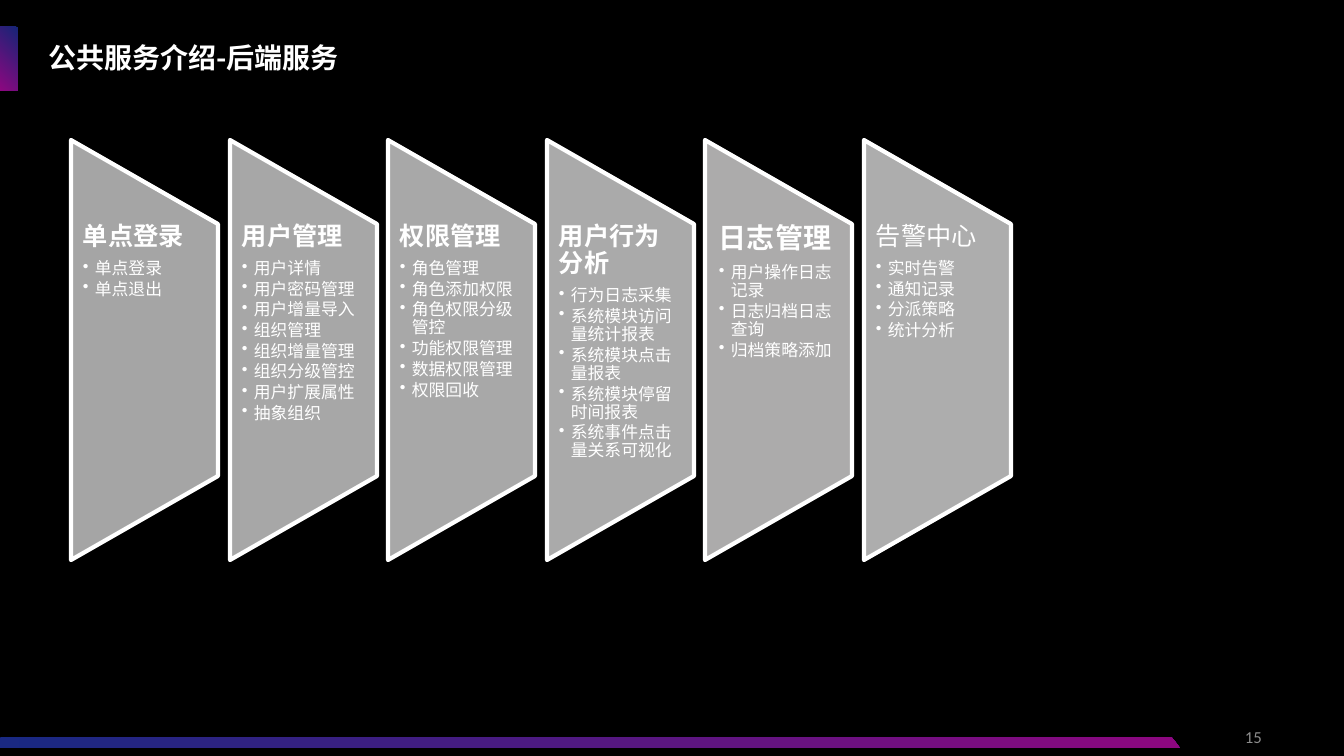
from lxml import etree
from pptx import Presentation
from pptx import util as u
from pptx.dml.color import RGBColor
from pptx.enum import shapes, text
from pptx.oxml.ns import qn

TITLE = "公共服务介绍-后端服务"
PAGE = "15"
# heading, heading size, bold, side inset, fill, items
CARDS = [
    ("单点登录", 18, True, 12, "A5A5A5", ["单点登录", "单点退出"]),
    ("用户管理", 18, True, 12, "A7A7A7",
     ["用户详情", "用户密码管理", "用户增量导入", "组织管理", "组织增量管理",
      "组织分级管控", "用户扩展属性", "抽象组织"]),
    ("权限管理", 18, True, 12, "A8A8A8",
     ["角色管理", "角色添加权限", "角色权限分级管控", "功能权限管理",
      "数据权限管理", "权限回收"]),
    ("用户行为分析", 18, True, 12, "AAAAAA",
     ["行为日志采集", "系统模块访问量统计报表", "系统模块点击量报表",
      "系统模块停留时间报表", "系统事件点击量关系可视化"]),
    ("日志管理", 20, True, 14, "ACABAB",
     ["用户操作日志记录", "日志归档日志查询", "归档策略添加"]),
    ("告警中心", 18, False, 12, "ADADAD",
     ["实时告警", "通知记录", "分派策略", "统计分析"]),
]
HEX = {"back": "000000", "ink": "FFFFFF", "page": "8C8C8C", "blue": "182983",
       "dim": "162576", "plum": "8D0780", "tip": "1A2983"}
LATIN, HAN = "Calibri", "Noto Sans CJK SC"
LEFT, MID, SPAN = 71, 350, 793     # first card, centre line, first to last card
WIDE, TALL = 147, 420              # card as it stands
TEXT_TOP, TEXT_TALL = 224, 252
HANG = 12

KIND = shapes.MSO_SHAPE
ALIGN = text.PP_ALIGN
ANCHOR = text.MSO_ANCHOR


def px(n):
    return u.Emu(round(n * 914400 / 100.8))


def rgb(code):
    return RGBColor.from_string(code)


def add_shape(slide, kind, box, fill=None, grad=None, angle=0):
    """Add a borderless shape; grad is a pair of colours."""
    shape = slide.shapes.add_shape(kind, *map(px, box))
    shape.shadow.inherit = False
    shape.line.fill.background()
    if grad:
        shape.fill.gradient()
        shape.fill.gradient_angle = angle
        for stop, code in zip(shape.fill.gradient_stops, grad):
            stop.color.rgb = rgb(code)
    else:
        shape.fill.solid()
        shape.fill.fore_color.rgb = rgb(fill)
    return shape


def add_frame(slide, box, side=10, edge=5, anchor=ANCHOR.MIDDLE):
    frame = slide.shapes.add_textbox(*map(px, box)).text_frame
    frame.word_wrap = True
    frame.vertical_anchor = anchor
    frame.margin_left = frame.margin_right = px(side)
    frame.margin_top = frame.margin_bottom = px(edge)
    return frame


def write(para, words, size, color=HEX["ink"], bold=False, font=LATIN):
    para.text = words
    para.font.size = u.Pt(size)
    para.font.bold = bold
    para.font.name = font
    para.font.color.rgb = rgb(color)
    base = para._p.pPr.find(qn("a:defRPr"))
    etree.SubElement(base, qn("a:ea")).set("typeface", HAN)


def add_bullet(para):
    props = para._p.get_or_add_pPr()
    props.set("marL", str(px(HANG)))
    props.set("indent", str(-px(HANG)))
    etree.SubElement(props, qn("a:buChar")).set("char", "•")


def add_card(slide, left, card):
    head, size, bold, side, fill, items = card
    box = (left + (WIDE - TALL) / 2, MID - WIDE / 2, TALL, WIDE)
    panel = add_shape(slide, KIND.FLOWCHART_MANUAL_OPERATION, box, fill)
    panel.rotation = 270
    panel.line.color.rgb = rgb(HEX["ink"])
    panel.line.width = u.Pt(3)

    frame = add_frame(slide, (left, TEXT_TOP, WIDE, TEXT_TALL), side, 0, ANCHOR.TOP)
    para = frame.paragraphs[0]
    para.line_spacing = 0.9
    para.space_after = u.Pt(size * 0.35)
    write(para, head, size, bold=bold)
    for item in items:
        para = frame.add_paragraph()
        para.level = 1
        add_bullet(para)
        para.line_spacing = 0.9
        para.space_after = u.Pt(1.8)
        write(para, item, 12)


def main():
    deck = Presentation()
    deck.slide_width, deck.slide_height = px(1344), px(756)
    slide = deck.slides.add_slide(deck.slide_layouts[6])
    slide.background.fill.solid()
    slide.background.fill.fore_color.rgb = rgb(HEX["back"])

    add_shape(slide, KIND.RECTANGLE, (0, 27, 18, 64),
              grad=(HEX["dim"], HEX["plum"]), angle=225)
    bar = add_shape(slide, KIND.PARALLELOGRAM, (0, 737, 1180, 11),
                    grad=(HEX["blue"], HEX["plum"]), angle=180)
    bar.adjustments[0] = 0.775
    bar._element.spPr.xfrm.set("flipH", "1")
    add_shape(slide, KIND.RECTANGLE, (0, 738, 19, 10), HEX["tip"])

    page = add_frame(slide, (970, 717, 302, 40)).paragraphs[0]
    page.alignment = ALIGN.RIGHT
    write(page, PAGE, 12, HEX["page"])

    title = add_frame(slide, (38, 27, 1119, 64)).paragraphs[0]
    title.line_spacing = 0.9
    write(title, TITLE, 20, bold=True, font=HAN)

    for i, card in enumerate(CARDS):
        add_card(slide, LEFT + round(i * SPAN / (len(CARDS) - 1)), card)
    deck.save("out.pptx")


if __name__ == "__main__":
    main()
